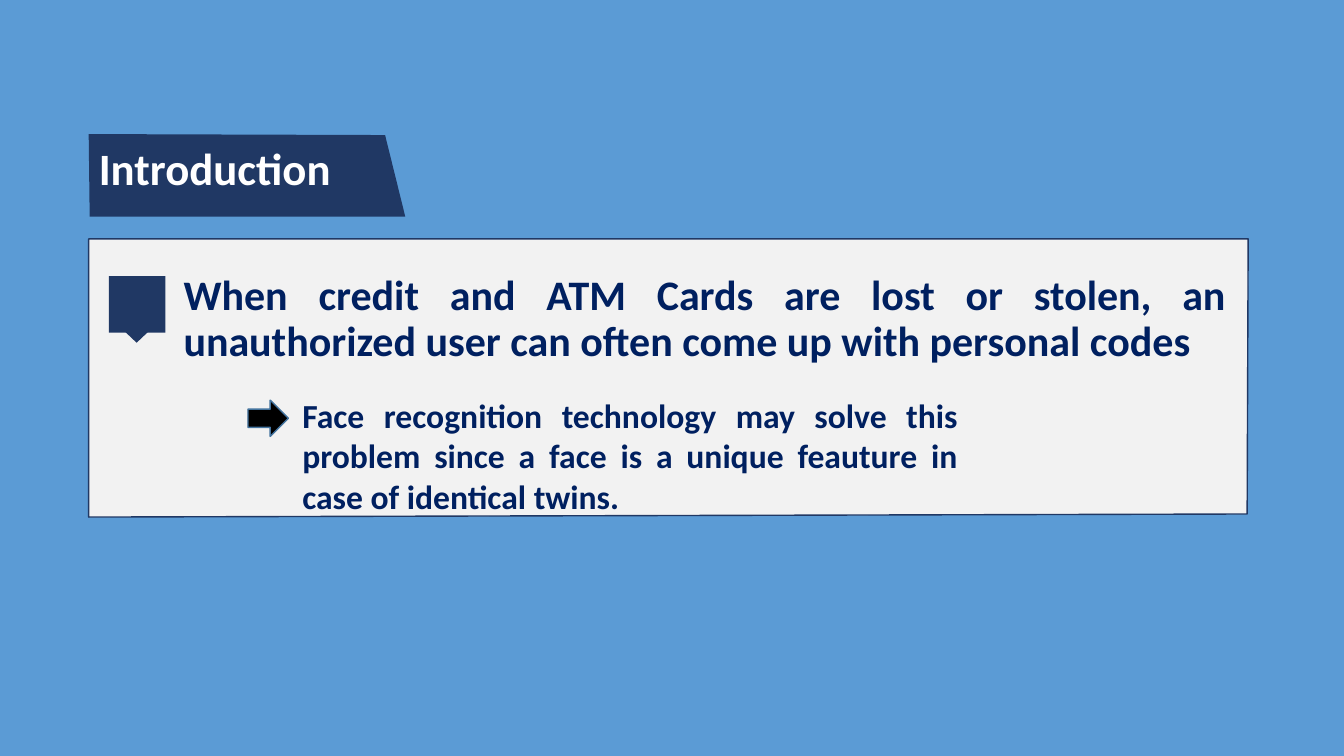
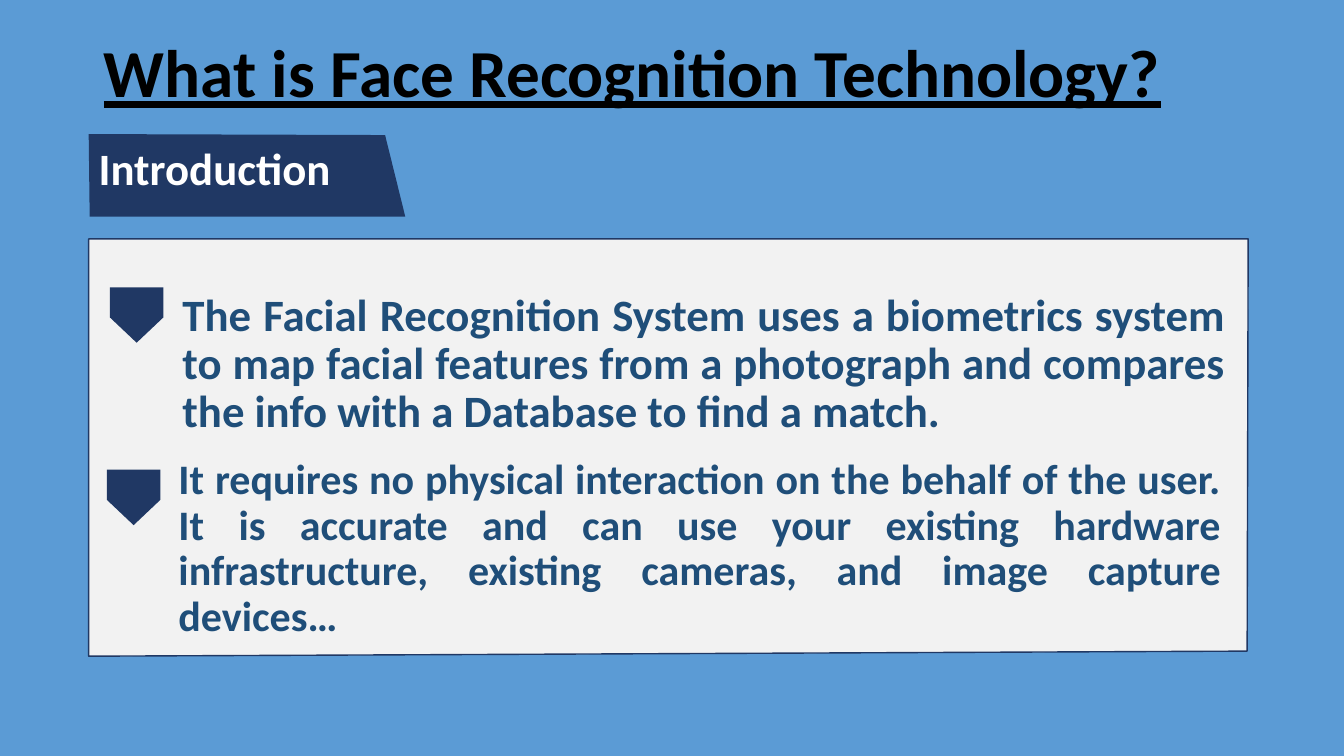
from pptx import Presentation
from pptx.dml.color import RGBColor
from pptx.enum.shapes import MSO_SHAPE
from pptx.enum.text import MSO_ANCHOR, MSO_AUTO_SIZE, PP_ALIGN
from pptx.oxml.ns import qn
from pptx.util import Inches, Pt

COLORS = {
    "sky": "5B9BD5", "navy": "203864", "panel": "F2F2F2", "white": "FFFFFF",
    "black": "000000", "ink": "002060", "blue": "1F4E79", "edge": "43739E",
}
FONT = "Calibri"

# Content
SECTION = "Introduction"
CARDS = ("When credit and ATM Cards are lost or stolen, an unauthorized user "
         "can often come up with personal codes")
SOLUTION = ("Face recognition technology may solve this problem since a face is "
            "a unique feauture in case of identical twins.")
HEADING = "What is Face Recognition Technology?"
SYSTEM = ("The Facial Recognition System uses a biometrics system to map facial "
          "features from a photograph and compares the info with a Database to "
          "find a match.")
BENEFITS = ("It requires no physical interaction on the behalf of the user. It is "
            "accurate and can use your existing hardware infrastructure, existing "
            "cameras, and image capture devices…")

# Shared geometry, in inches
TAB = [(0.88, 1.33), (3.82, 1.34), (4.02, 2.15), (0.89, 2.15)]
TAB_TEXT = (0.88, 1.41, 2.58, 0.66)
PANEL_LEFT, PANEL_RIGHT, PANEL_TOP = 0.88, 12.38, 2.37
TEXT_WIDTH = 10.35
MARKER_SIZE = (0.55, 0.53)


def rgb(name):
    return RGBColor.from_string(COLORS[name])


def paint(sp, fill, line=None):
    sp.shadow.inherit = False
    sp.fill.solid()
    sp.fill.fore_color.rgb = rgb(fill)
    if line:
        sp.line.color.rgb = rgb(line)
        sp.line.width = Pt(1)
    else:
        sp.line.fill.background()


def add_outline(slide, points, fill, line=None):
    corners = [(Inches(x), Inches(y)) for x, y in points]
    builder = slide.shapes.build_freeform(*corners[0])
    builder.add_line_segments(corners[1:], close=True)
    paint(builder.convert_to_shape(), fill, line)


def add_preset(shapes, kind, box, fill, line=None):
    sp = shapes.add_shape(kind, *map(Inches, box))
    paint(sp, fill, line)
    return sp


def add_marker(shapes, left, top):
    """Pentagon that points down."""
    sp = add_preset(shapes, MSO_SHAPE.PENTAGON, (left, top, *MARKER_SIZE), "navy")
    sp.adjustments[0] = 0.473
    sp.rotation = 90


def set_text(sp, box, text, size, color, align=PP_ALIGN.LEFT, spacing=0.9,
             anchor=MSO_ANCHOR.MIDDLE, inset=True, underline=None):
    sp.left, sp.top, sp.width, sp.height = map(Inches, box)
    sp.element.getparent().append(sp.element)  # bring to front
    tf = sp.text_frame
    tf.text = text
    tf.word_wrap = True
    tf.auto_size = MSO_AUTO_SIZE.NONE
    tf.vertical_anchor = anchor
    if not inset:
        tf.margin_left = tf.margin_right = tf.margin_top = tf.margin_bottom = 0
    p = tf.paragraphs[0]
    p.alignment = align
    p.line_spacing = spacing
    p.space_before = Pt(0)
    if sp.is_placeholder:
        pPr = p._p.get_or_add_pPr()
        pPr.set("marL", "0")
        pPr.set("indent", "0")
        pPr.append(pPr.makeelement(qn("a:buNone"), {}))
    font = p.runs[0].font
    font.name, font.size, font.bold = FONT, Pt(size), True
    font.underline = underline
    font.color.rgb = rgb(color)


def set_statement(sp, left, top, height, text, size, color):
    set_text(sp, (left, top, TEXT_WIDTH, height), text, size, color,
             align=PP_ALIGN.JUSTIFY, inset=False)


def new_textbox(slide):
    return slide.shapes.add_textbox(0, 0, Inches(1), Inches(1))


def set_section(sp):
    set_text(sp, TAB_TEXT, SECTION, 32, "white", anchor=MSO_ANCHOR.TOP)


def new_slide(prs, bottom_left, bottom_right):
    """Slide with the section tab and the panel."""
    slide = prs.slides.add_slide(prs.slide_layouts[1])
    add_outline(slide, TAB, "navy")
    add_outline(slide, [(PANEL_LEFT, PANEL_TOP), (PANEL_RIGHT, PANEL_TOP),
                        (PANEL_RIGHT - 0.01, bottom_right),
                        (PANEL_LEFT, bottom_left)], "panel", "navy")
    return slide


def build_problem(prs):
    slide = new_slide(prs, 5.13, 5.1)
    set_section(slide.shapes.title)
    set_statement(slide.placeholders[1], 1.82, 2.72, 0.91, CARDS, 30, "ink")
    marker = slide.shapes.add_group_shape().shapes
    add_marker(marker, 1.08, 2.86)
    add_preset(marker, MSO_SHAPE.RECTANGLE, (1.08, 2.74, 0.56, 0.56), "navy")
    add_preset(slide.shapes, MSO_SHAPE.RIGHT_ARROW, (2.46, 3.97, 0.4, 0.36),
               "black", "edge")
    set_text(new_textbox(slide), (2.9, 3.87, 6.7, 1.31), SOLUTION, 24, "ink",
             align=PP_ALIGN.JUSTIFY, spacing=1.0, anchor=MSO_ANCHOR.TOP)


def build_definition(prs):
    slide = new_slide(prs, 6.51, 6.46)
    set_section(new_textbox(slide))
    set_text(slide.shapes.title, (0.93, 0.03, 11.5, 1.45), HEADING, 48, "black",
             underline=True)
    set_statement(slide.placeholders[1], 1.81, 2.89, 1.46, SYSTEM, 32, "blue")
    set_statement(new_textbox(slide), 1.77, 4.54, 1.82, BENEFITS, 30, "blue")
    for left, top in [(1.08, 2.86), (1.05, 4.67)]:
        add_marker(slide.shapes, left, top)


def main():
    prs = Presentation()
    prs.slide_width, prs.slide_height = Inches(13.33), Inches(7.5)
    background = prs.slide_master.background.fill
    background.solid()
    background.fore_color.rgb = rgb("sky")
    build_problem(prs)
    build_definition(prs)
    prs.save("out.pptx")


if __name__ == "__main__":
    main()
